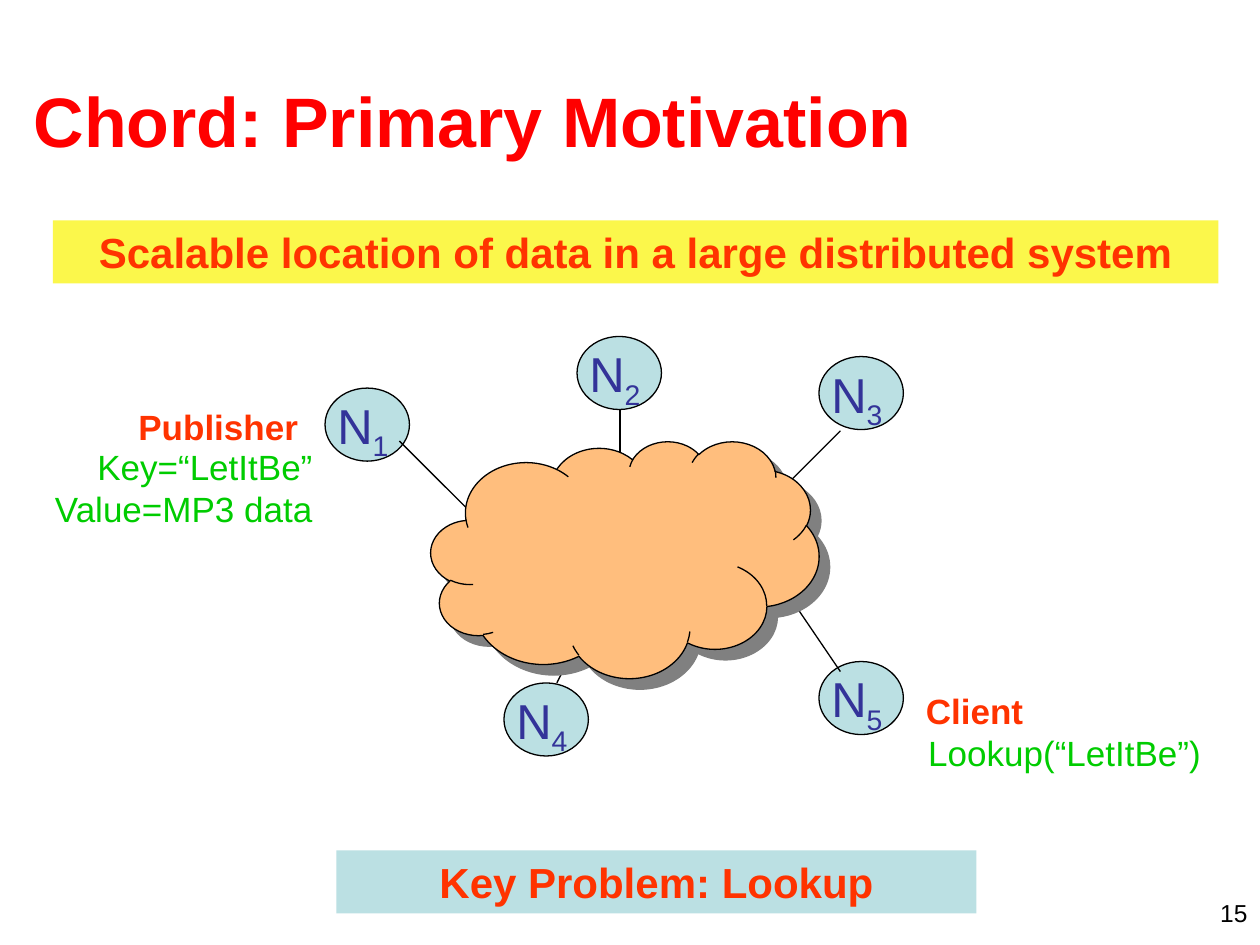
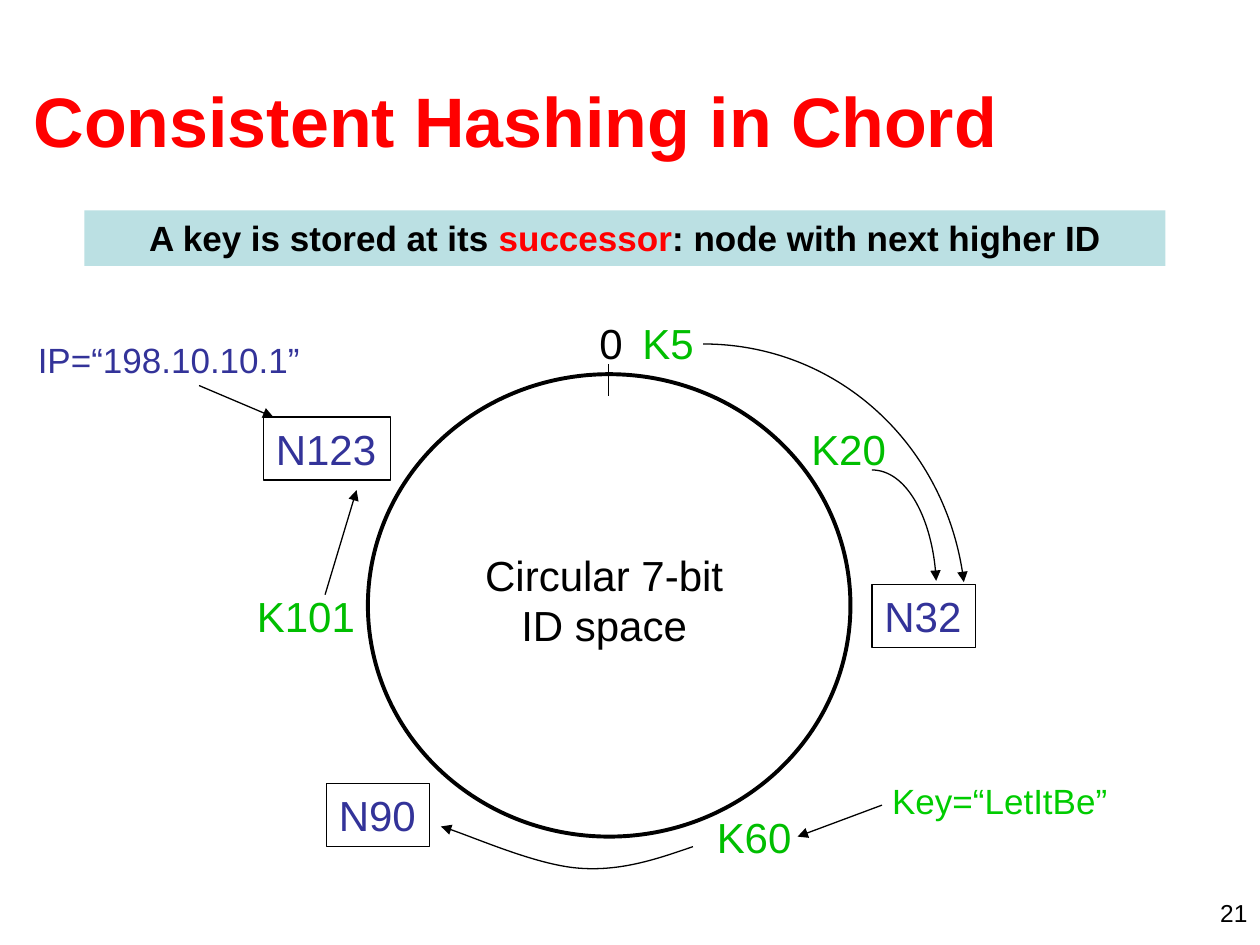
from dataclasses import dataclass
from typing import NamedTuple

from lxml import etree
from pptx import Presentation
from pptx.dml.color import RGBColor
from pptx.enum.shapes import MSO_CONNECTOR, MSO_SHAPE
from pptx.enum.text import MSO_ANCHOR, MSO_AUTO_SIZE, PP_ALIGN
from pptx.oxml.ns import qn
from pptx.util import Pt

LEFT, CENTER, RIGHT = PP_ALIGN.LEFT, PP_ALIGN.CENTER, PP_ALIGN.RIGHT
TOP, MIDDLE = MSO_ANCHOR.TOP, MSO_ANCHOR.MIDDLE
FIT, FIXED = MSO_AUTO_SIZE.SHAPE_TO_FIT_TEXT, MSO_AUTO_SIZE.NONE
RECTANGLE, OVAL, CLOUD = MSO_SHAPE.RECTANGLE, MSO_SHAPE.OVAL, MSO_SHAPE.CLOUD
STRAIGHT = MSO_CONNECTOR.STRAIGHT

PX = 9144  # EMU in one px, 100 px to the inch
BLANK_LAYOUT = 6


@dataclass(frozen=True)
class Theme:
    font: str = "Arial"
    black: str = "000000"
    title_red: str = "FF0000"
    orange_red: str = "FF3300"
    yellow: str = "FBF74B"
    pale_blue: str = "BBE0E3"
    navy: str = "333399"
    data_green: str = "00CC00"
    key_green: str = "00BE00"
    cloud: str = "FFBE7D"
    shadow: str = "808080"
    title_size: int = 40
    node_size: int = 28
    large_size: int = 24
    body_size: int = 20
    number_size: int = 14
    thin_line: float = 0.75
    ring_line: float = 2.25


THEME = Theme()


class Box(NamedTuple):
    left: int
    top: int
    width: int
    height: int


class Point(NamedTuple):
    x: int
    y: int


class Span(NamedTuple):
    text: str
    color: str
    subscript: bool = False


@dataclass(frozen=True)
class Label:
    text: str
    box: Box
    color: str
    size: int = THEME.body_size
    bold: bool = False
    align: int = LEFT
    framed: bool = False


class Link(NamedTuple):
    start: Point
    end: Point
    arrow: bool = False


# Text
def write(shape, text: str, *, size: int, color: str = THEME.black, bold: bool = False,
          align=LEFT, anchor=TOP, wrap: bool = False, auto_size=FIT,
          extra: tuple[Span, ...] = ()) -> None:
    """Fill a shape with one paragraph a line; extra spans end the last one."""
    frame = shape.text_frame
    frame.word_wrap = wrap
    frame.auto_size = auto_size
    frame.vertical_anchor = anchor
    lines = [[Span(line, color)] for line in text.split("\n")]
    lines[-1].extend(extra)
    for index, spans in enumerate(lines):
        para = frame.add_paragraph() if index else frame.paragraphs[0]
        para.alignment = align
        for span in spans:
            run = para.add_run()
            run.text = span.text
            run.font.name = THEME.font
            run.font.size = Pt(size)
            run.font.bold = bold
            run.font.color.rgb = RGBColor.from_string(span.color)
            if span.subscript:
                run.font._element.set("baseline", "-25000")


def add_text_box(page, box: Box):
    return page.shapes.add_textbox(*(length * PX for length in box))


# Shapes and lines
def add_figure(page, kind, box: Box, *, fill: str | None = None,
               line: float | None = None):
    shape = page.shapes.add_shape(kind, *(length * PX for length in box))
    shape.shadow.inherit = False
    if fill:
        shape.fill.solid()
        shape.fill.fore_color.rgb = RGBColor.from_string(fill)
    else:
        shape.fill.background()
    if line:
        style_line(shape, line)
    else:
        shape.line.fill.background()
    return shape


def style_line(shape, width: float = THEME.thin_line, arrow: bool = False) -> None:
    shape.line.color.rgb = RGBColor.from_string(THEME.black)
    shape.line.width = Pt(width)
    if arrow:
        outline = shape.line._get_or_add_ln()
        etree.SubElement(outline, qn("a:tailEnd"), type="triangle")


def add_link(page, link: Link) -> None:
    ends = (length * PX for length in (*link.start, *link.end))
    connector = page.shapes.add_connector(STRAIGHT, *ends)
    style_line(connector, arrow=link.arrow)
    etree.SubElement(connector._element.spPr, qn("a:effectLst"))


def add_curve(page, start: Point, points: tuple[Point, ...]) -> None:
    """Draw cubic curves, three points each, ending in an arrowhead."""
    builder = page.shapes.build_freeform(*start, scale=PX)
    builder.add_line_segments(points, close=False)
    shape = builder.convert_to_shape()
    shape.shadow.inherit = False
    shape.fill.background()
    style_line(shape, arrow=True)
    segments = list(shape._element.iter(qn("a:lnTo")))
    for first in range(0, len(segments), 3):
        curve = etree.Element(qn("a:cubicBezTo"))
        segments[first].addprevious(curve)
        for segment in segments[first:first + 3]:
            curve.append(segment[0])
            segment.getparent().remove(segment)


def add_label(page, label: Label) -> None:
    if label.framed:
        shape = add_figure(page, RECTANGLE, label.box, line=THEME.thin_line)
    else:
        shape = add_text_box(page, label.box)
    write(shape, label.text, size=label.size, color=label.color,
          bold=label.bold, align=label.align)


# Parts shared by the slides
def add_page(deck, title: str, number: int):
    page = deck.slides.add_slide(deck.slide_layouts[BLANK_LAYOUT])
    write(add_text_box(page, Box(17, 32, 958, 125)), title, size=THEME.title_size,
          color=THEME.title_red, bold=True, anchor=MIDDLE, wrap=True, auto_size=FIXED)
    write(add_text_box(page, Box(767, 708, 233, 25)), str(number),
          size=THEME.number_size, align=RIGHT, wrap=True, auto_size=FIXED)
    return page


def add_band(page, box: Box, text: str, *, fill: str, size: int, color: str,
             extra: tuple[Span, ...] = ()) -> None:
    band = add_figure(page, RECTANGLE, box, fill=fill)
    write(band, text, size=size, color=color, bold=True, align=CENTER,
          wrap=True, extra=extra)


# Slide: motivation
def add_node(page, number: int, corner: Point) -> None:
    add_figure(page, OVAL, Box(*corner, 67, 58), fill=THEME.pale_blue,
               line=THEME.thin_line)
    write(add_text_box(page, Box(corner.x, corner.y + 1, 67, 63)), "N",
          size=THEME.node_size, color=THEME.navy, auto_size=FIXED,
          extra=(Span(str(number), THEME.navy, subscript=True),))


def add_cloud(page) -> None:
    cloud = add_figure(page, CLOUD, Box(342, 350, 308, 188), fill=THEME.cloud,
                       line=THEME.thin_line)
    effects = cloud._element.spPr.find(qn("a:effectLst"))
    shadow = etree.SubElement(effects, qn("a:outerShdw"), dist=str(Pt(8.5)),
                              dir="2700000", algn="ctr", rotWithShape="0")
    etree.SubElement(shadow, qn("a:srgbClr"), val=THEME.shadow)


def build_motivation(deck) -> None:
    page = add_page(deck, "Chord: Primary Motivation", 15)
    add_band(page, Box(42, 175, 925, 50),
             "Scalable location of data in a large distributed system",
             fill=THEME.yellow, size=THEME.large_size, color=THEME.orange_red)
    add_band(page, Box(267, 675, 508, 50), "Key Problem: Lookup",
             fill=THEME.pale_blue, size=THEME.large_size, color=THEME.orange_red)

    corners = (Point(258, 308), Point(458, 267), Point(650, 283),
               Point(400, 542), Point(650, 525))
    for number, corner in enumerate(corners, start=1):
        add_node(page, number, corner)

    for link in (
        Link(Point(317, 350), Point(375, 408)),
        Link(Point(492, 325), Point(492, 375)),
        Link(Point(667, 342), Point(617, 392)),
        Link(Point(442, 542), Point(467, 492)),
        Link(Point(667, 533), Point(633, 483)),
    ):
        add_link(page, link)
    add_cloud(page)

    for label in (
        Label("Publisher", Box(100, 317, 150, 44), THEME.orange_red, bold=True),
        Label("Key=“LetItBe”\nValue=MP3 data", Box(30, 349, 228, 77),
              THEME.data_green, align=RIGHT),
        Label("Client", Box(725, 542, 100, 44), THEME.orange_red, bold=True),
        Label("Lookup(“LetItBe”)", Box(725, 576, 240, 44), THEME.data_green,
              align=CENTER),
    ):
        add_label(page, label)


# Slide: consistent hashing
def build_hashing(deck) -> None:
    page = add_page(deck, "Consistent Hashing in Chord", 21)
    add_band(page, Box(67, 167, 858, 44), "A key is stored at its ",
             fill=THEME.pale_blue, size=THEME.body_size, color=THEME.black,
             extra=(Span("successor", THEME.title_red),
                    Span(": node with next higher ID", THEME.black)))
    add_figure(page, OVAL, Box(292, 297, 383, 367), line=THEME.ring_line)

    large = THEME.large_size
    for label in (
        Label("N32", Box(692, 464, 82, 50), THEME.navy, large, framed=True),
        Label("N90", Box(259, 622, 82, 50), THEME.navy, large, framed=True),
        Label("N123", Box(209, 331, 101, 50), THEME.navy, large, framed=True),
        Label("K5", Box(500, 247, 63, 50), THEME.key_green, large),
        Label("K20", Box(634, 331, 82, 50), THEME.key_green, large),
        Label("K60", Box(559, 639, 82, 50), THEME.key_green, large),
        Label("K101", Box(194, 464, 101, 50), THEME.key_green, large),
        Label("0", Box(465, 247, 40, 50), THEME.black, large, align=CENTER),
        Label("Circular 7-bit\nID space", Box(373, 431, 213, 90), THEME.black,
              large, align=CENTER),
        Label("IP=“198.10.10.1”", Box(18, 264, 232, 44), THEME.navy, align=CENTER),
        Label("Key=“LetItBe”", Box(696, 614, 195, 44), THEME.data_green,
              align=CENTER),
    ):
        add_label(page, label)

    # Zero mark and straight arrows
    for link in (
        Link(Point(483, 289), Point(483, 314)),
        Link(Point(258, 472), Point(283, 389), arrow=True),
        Link(Point(158, 306), Point(217, 331), arrow=True),
        Link(Point(700, 639), Point(633, 664), arrow=True),
    ):
        add_link(page, link)

    # Curved arrows from keys to their successors
    add_curve(page, Point(558, 273),
              (Point(663, 273), Point(752, 354), Point(765, 462)))
    add_curve(page, Point(692, 373),
              (Point(719, 373), Point(741, 414), Point(743, 461)))
    add_curve(page, Point(550, 672),
              (Point(521, 682), Point(492, 692), Point(458, 689),
               Point(425, 686), Point(368, 661), Point(350, 656)))


def main() -> None:
    deck = Presentation()
    deck.slide_width = 1000 * PX
    deck.slide_height = 750 * PX
    build_motivation(deck)
    build_hashing(deck)
    deck.save("out.pptx")


if __name__ == "__main__":
    main()
